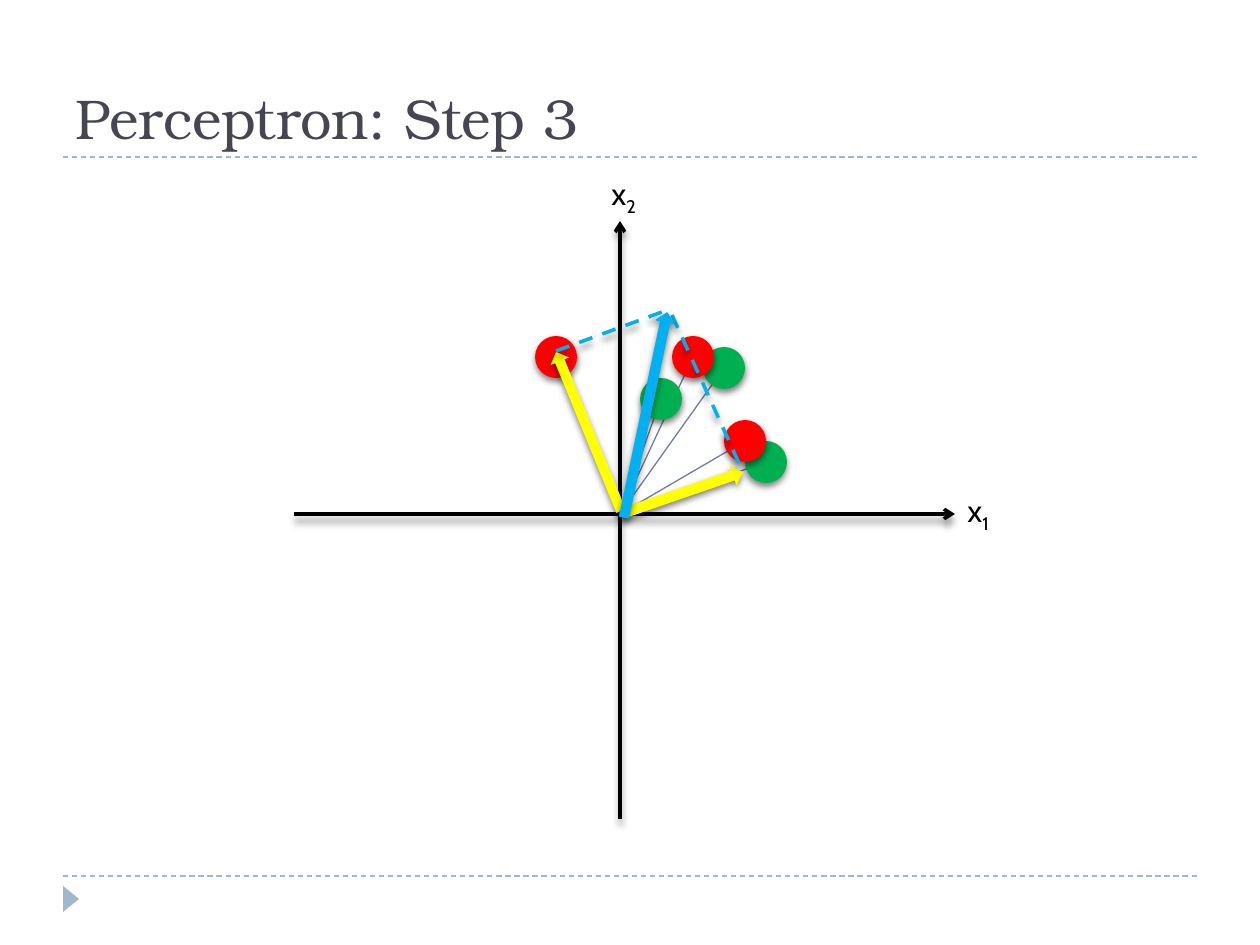
from math import atan2, degrees, hypot

from lxml.etree import SubElement
from pptx import Presentation
from pptx.dml.color import RGBColor
from pptx.enum.dml import MSO_LINE as Dash
from pptx.enum.shapes import MSO_CONNECTOR, MSO_SHAPE as Preset
from pptx.enum.text import MSO_ANCHOR, MSO_AUTO_SIZE, PP_ALIGN
from pptx.oxml.ns import qn
from pptx.util import Emu, Pt

BLACK = RGBColor(0x00, 0x00, 0x00)
SLATE = RGBColor(0x46, 0x46, 0x53)
PALE_BLUE = RGBColor(0x9F, 0xB8, 0xCD)
INDIGO = RGBColor(0x72, 0x7C, 0xA3)
GREEN = RGBColor(0x00, 0xB0, 0x50)
RED = RGBColor(0xFF, 0x00, 0x00)
YELLOW = RGBColor(0xFF, 0xFF, 0x00)
SKY = RGBColor(0x00, 0xB0, 0xF0)

PX_PER_INCH = 126
SLIDE_SIZE = (1260, 945)
ORIGIN = (620, 514)
RADIUS = 21
GREEN_POINTS = [(724, 368), (766, 462), (661, 399)]
RED_POINTS = [(745, 441), (693, 357), (556, 357)]

# Blur and distance in points, opacity in percent
SHAPE_SHADOW = (4, 2, 50)
LINE_SHADOW = (4, 3.4, 40)


def px(length):
    return Emu(round(length * 914400 / PX_PER_INCH))


def add_text(paragraph, text, size=18, font="Cabin", color=BLACK, subscript=False):
    run = paragraph.add_run()
    run.text = text
    run.font.size = Pt(size)
    run.font.name = font
    run.font.color.rgb = color
    if subscript:
        run.font._element.set("baseline", "-25000")


def set_shadow(item, shadow):
    """Replace the theme's effects by a downward shadow, or by none."""
    properties = item._element.spPr
    effects = properties.find(qn("a:effectLst"))
    if effects is None:
        effects = SubElement(properties, qn("a:effectLst"))
    if shadow:
        blur, distance, opacity = shadow
        outer = SubElement(effects, qn("a:outerShdw"), blurRad=str(Pt(blur)),
                           dist=str(Pt(distance)), dir="5400000", rotWithShape="0")
        tint = SubElement(outer, qn("a:srgbClr"), val="000000")
        SubElement(tint, qn("a:alpha"), val=str(opacity * 1000))


class Canvas:
    """Holds the current slide and the shared look of its elements."""

    def __init__(self, slide):
        self.slide = slide
        self.shapes = slide.shapes

    def title(self, text, left, top, width, height):
        title = self.shapes.title
        title.left, title.top = px(left), px(top)
        title.width, title.height = px(width), px(height)
        frame = title.text_frame
        frame.auto_size = MSO_AUTO_SIZE.NONE
        frame.vertical_anchor = MSO_ANCHOR.BOTTOM
        heading = frame.paragraphs[0]
        heading.alignment = PP_ALIGN.LEFT
        add_text(heading, text, size=32, font="TeX Gyre Bonum", color=SLATE)

    def line(self, start, end, color, width=0.75, dashed=False, arrow=False, shadow=None):
        line = self.shapes.add_connector(
            MSO_CONNECTOR.STRAIGHT, *map(px, (*start, *end)))
        line.line.color.rgb = color
        line.line.width = Pt(width)
        if dashed:
            line.line.dash_style = Dash.DASH
        if arrow:
            SubElement(line.line._get_or_add_ln(), qn("a:tailEnd"), type="arrow")
        set_shadow(line, shadow)

    def shape(self, preset, center, width, height, fill, outline=None, rotation=0, shadow=None):
        x, y = center
        shape = self.shapes.add_shape(
            preset, px(x - width / 2), px(y - height / 2), px(width), px(height))
        shape.rotation = rotation
        shape.shadow.inherit = False
        shape.fill.solid()
        shape.fill.fore_color.rgb = fill
        if outline is None:
            shape.line.fill.background()
        else:
            shape.line.color.rgb = outline
            shape.line.width = Pt(0.75)
        set_shadow(shape, shadow)

    def dot(self, center, color):
        self.shape(Preset.OVAL, center, 2 * RADIUS, 2 * RADIUS, color, shadow=SHAPE_SHADOW)

    def vector(self, tail, tip, width, color, outline=None):
        """Draw a block arrow, turned so that it runs from tail to tip."""
        dx, dy = tip[0] - tail[0], tip[1] - tail[1]
        center = (tail[0] + dx / 2, tail[1] + dy / 2)
        self.shape(Preset.DOWN_ARROW, center, width, hypot(dx, dy), color, outline,
                   rotation=degrees(atan2(-dx, dy)) % 360, shadow=SHAPE_SHADOW)

    def axis_label(self, index, left, top):
        label = self.shapes.add_textbox(px(left), px(top), px(52), px(50))
        frame = label.text_frame
        frame.word_wrap = False
        frame.auto_size = MSO_AUTO_SIZE.SHAPE_TO_FIT_TEXT
        add_text(frame.paragraphs[0], "x")
        add_text(frame.paragraphs[0], index, subscript=True)


def main():
    deck = Presentation()
    deck.slide_width, deck.slide_height = map(px, SLIDE_SIZE)
    canvas = Canvas(deck.slides.add_slide(deck.slide_layouts[5]))

    for rule_y in (876, 157):
        canvas.line((63, rule_y), (1197, rule_y), PALE_BLUE, dashed=True)
    canvas.shape(Preset.ISOSCELES_TRIANGLE, (71, 899), 26, 16, PALE_BLUE, rotation=90)
    canvas.title("Perceptron: Step 3", 63, 21, 1134, 136)

    for start, end in [((620, 819), (620, 221)), ((294, 514), (955, 514))]:
        canvas.line(start, end, BLACK, width=2, arrow=True, shadow=LINE_SHADOW)
    canvas.axis_label("1", 955, 485)
    canvas.axis_label("2", 599, 168)

    for point in GREEN_POINTS + RED_POINTS:
        canvas.line(ORIGIN, point, INDIGO, arrow=True)
    for color, points in [(GREEN, GREEN_POINTS), (RED, RED_POINTS)]:
        for point in points:
            canvas.dot(point, color)

    canvas.vector((624, 513), (743, 472), 21, YELLOW)
    canvas.vector((621, 511), (556, 352), 20, YELLOW)
    for start, end in [((556, 351), (662, 312)), ((672, 315), (743, 472))]:
        canvas.line(start, end, SKY, width=2, dashed=True, shadow=LINE_SHADOW)
    canvas.vector((624, 517), (667, 313), 18, SKY, outline=SKY)

    deck.save("out.pptx")


if __name__ == "__main__":
    main()
